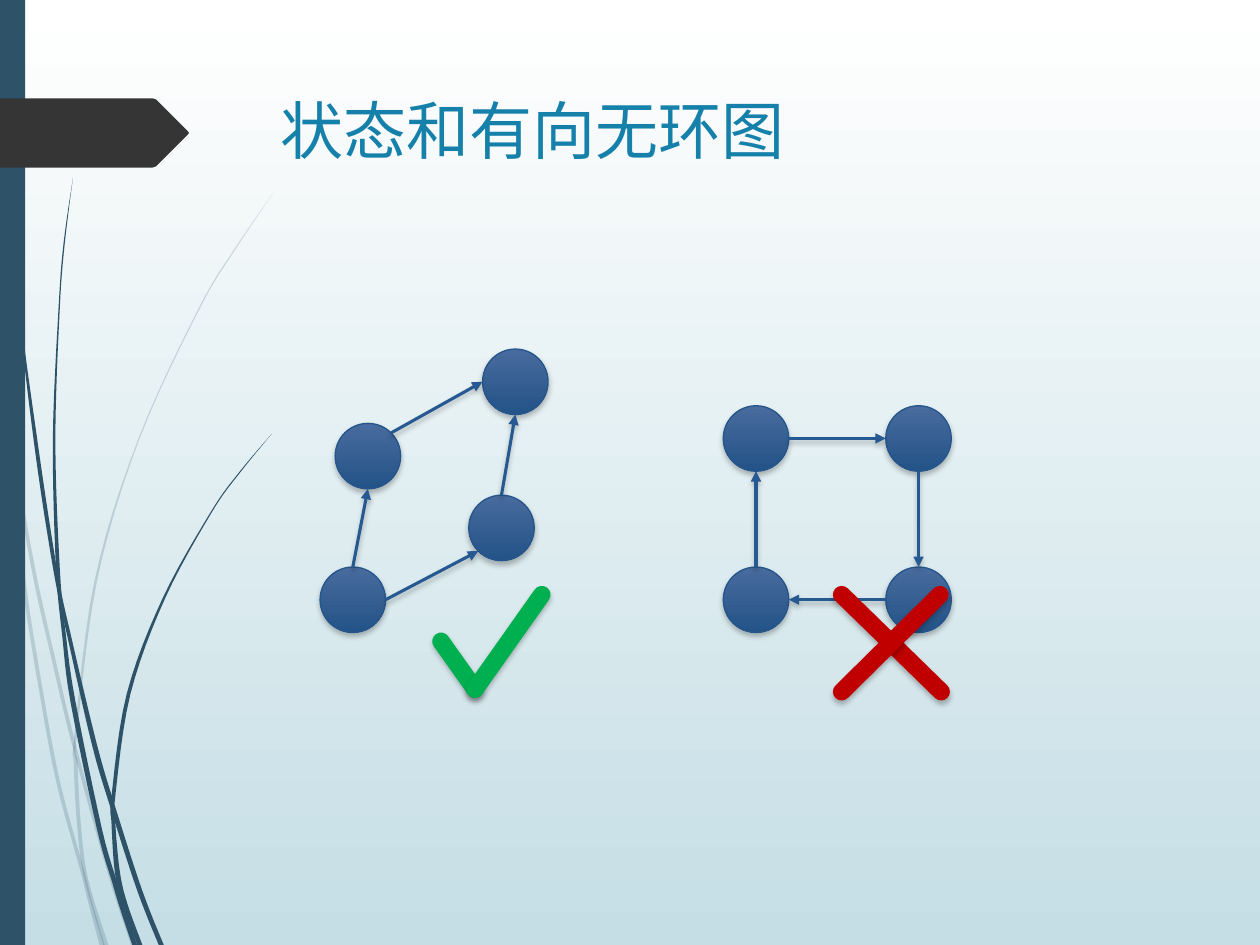
from math import cos, radians, sin
from lxml.etree import SubElement
from pptx import Presentation
from pptx.dml.color import RGBColor
from pptx.enum.shapes import MSO_CONNECTOR, MSO_SHAPE
from pptx.enum.text import MSO_ANCHOR
from pptx.oxml.ns import qn
from pptx.util import Inches, Pt

WHITE = RGBColor(0xFF, 0xFF, 0xFF)
PALE = RGBColor(0xC5, 0xDE, 0xE5)
SLATE = RGBColor(0x2E, 0x53, 0x69)
CHARCOAL = RGBColor(0x35, 0x35, 0x35)
TITLE = RGBColor(0x15, 0x81, 0xAA)
NODE_TOP = RGBColor(0x49, 0x6B, 0x9E)
NODE_BOTTOM = RGBColor(0x23, 0x53, 0x87)
NODE_LINE = RGBColor(0x24, 0x55, 0x8B)
EDGE = RGBColor(0x26, 0x59, 0x91)
GREEN = RGBColor(0x00, 0xB0, 0x50)
RED = RGBColor(0xC0, 0x00, 0x00)

NODE = 0.52
# Each strand is a list of (centre x, y, width) from tip to root.
PALE_STRANDS = [
    [(0, 2.9, 0.01), (0.09, 3.5, 0.02), (0.26, 4.49, 0.03), (0.42, 5.21, 0.03),
     (0.59, 5.92, 0.03), (0.87, 6.93, 0.03), (1.06, 7.5, 0.04)],
    [(0.08, 3.5, 0), (0.14, 4.1, 0.03), (0.2, 4.7, 0.03), (0.32, 5.45, 0.03),
     (0.46, 6.2, 0.03), (0.65, 6.9, 0.03), (0.71, 7.14, 0.03), (0.81, 7.5, 0.04)],
    [(2.17, 1.53, 0), (1.87, 1.97, 0.01), (1.58, 2.45, 0.01), (1.1, 3.49, 0.01),
     (0.76, 4.61, 0.02), (0.6, 5.84, 0.02), (0.6, 6.05, 0.03), (0.62, 6.46, 0.03),
     (0.66, 6.85, 0.03), (0.72, 7.11, 0.03), (0.84, 7.5, 0.04)],
]
DARK_STRANDS = [
    [(0.02, 0, 0.01), (0.04, 0.48, 0.01), (0.05, 1.1, 0.01), (0.14, 2.33, 0.01),
     (0.29, 3.55, 0.03), (0.44, 4.53, 0.03), (0.55, 5.05, 0.03), (0.75, 5.91, 0.04),
     (0.9, 6.42, 0.04), (1.11, 7.07, 0.04), (1.28, 7.5, 0.04)],
    [(0.58, 1.41, 0), (0.51, 1.93, 0.01), (0.47, 2.45, 0.01), (0.43, 3.49, 0.02),
     (0.46, 4.51, 0.03), (0.51, 5.05, 0.03), (0.58, 5.57, 0.04), (0.79, 6.58, 0.04),
     (0.91, 7, 0.04), (0.97, 7.2, 0.04), (1.07, 7.5, 0.04)],
    [(2.16, 3.44, 0), (1.91, 3.74, 0.01), (1.68, 4.06, 0.01), (1.3, 4.75, 0.02),
     (1.02, 5.51, 0.03), (0.9, 6.32, 0.03), (0.9, 6.53, 0.03), (0.93, 6.91, 0.04),
     (0.99, 7.17, 0.04), (1.11, 7.5, 0.04)],
]


def spline(knots, steps=6):
    """Return points on a smooth curve through the knots."""
    ends = [knots[0], *knots, knots[-1]]
    points = []
    for a, b, c, d in zip(ends, ends[1:], ends[2:], ends[3:]):
        for t in (i / steps for i in range(steps)):
            points.append([
                q + t * (r - p + t * (2 * p - 5 * q + 4 * r - s
                                      + t * (3 * q - p - 3 * r + s))) / 2
                for p, q, r, s in zip(a, b, c, d)])
    return points + [knots[-1]]


def site(corner, angle):
    """Return the point on a node's rim, clockwise in degrees from the right."""
    return [v + NODE / 2 * (1 + f(radians(angle)))
            for v, f in zip(corner, (cos, sin))]


class Canvas:
    """The current slide and its style."""

    font = {"name": "League Spartan", "size": Pt(36)}

    def __init__(self, slide):
        self.slide = slide
        self.shapes = slide.shapes

    def gradient(self, fill, top, bottom):
        """Fill with a gradient running downward."""
        fill.gradient()
        fill.gradient_angle = 270
        for stop, color in zip(fill.gradient_stops, (top, bottom)):
            stop.color.rgb = color

    def shadow(self, sp):
        """Add a soft shadow below an element."""
        effects = SubElement(sp._element.spPr, qn("a:effectLst"))
        outer = SubElement(effects, qn("a:outerShdw"), blurRad=str(Pt(3)),
                           dist=str(Pt(2)), dir="5400000", rotWithShape="0")
        color = SubElement(outer, qn("a:srgbClr"), val="000000")
        SubElement(color, qn("a:alpha"), val="25000")

    def plain(self, sp, color, alpha=None):
        """Give a shape a flat fill and no outline."""
        sp.fill.solid()
        sp.fill.fore_color.rgb = color
        sp.line.fill.background()
        sp.shadow.inherit = False
        if alpha:
            clr = sp._element.spPr.find(qn("a:solidFill"))[0]
            SubElement(clr, qn("a:alpha"), val=str(alpha * 1000))

    def bar(self, x, y, w, h, color):
        """Draw a plain rectangle."""
        self.plain(self.shapes.add_shape(
            MSO_SHAPE.RECTANGLE, *map(Inches, (x, y, w, h))), color)

    def polygon(self, points, color, alpha=None):
        """Draw a closed outline."""
        points = [(Inches(x), Inches(y)) for x, y in points]
        builder = self.shapes.build_freeform(*points[0])
        builder.add_line_segments(points[1:], close=True)
        self.plain(builder.convert_to_shape(), color, alpha)

    def strand(self, knots, color, alpha=None):
        """Draw a tapered blade of grass."""
        curve = spline(knots)
        left = [(x - w / 2, y) for x, y, w in curve]
        right = [(x + w / 2, y) for x, y, w in curve]
        self.polygon(left + right[::-1], color, alpha)

    def title(self, text, x, y, w, h):
        """Write the slide title."""
        tf = self.shapes.add_textbox(*map(Inches, (x, y, w, h))).text_frame
        tf.word_wrap = True
        tf.vertical_anchor = MSO_ANCHOR.TOP
        r = tf.paragraphs[0].add_run()
        r.text = text
        for key, value in self.font.items():
            setattr(r.font, key, value)
        r.font.color.rgb = TITLE

    def node(self, x, y):
        """Draw a graph node."""
        sp = self.shapes.add_shape(
            MSO_SHAPE.OVAL, *map(Inches, (x, y, NODE, NODE)))
        self.gradient(sp.fill, NODE_TOP, NODE_BOTTOM)
        sp.line.color.rgb = NODE_LINE
        sp.line.width = Pt(0.75)
        self.shadow(sp)

    def line(self, start, end, color, width, arrow=False):
        """Draw an arrow, or a stroke with round ends."""
        sp = self.shapes.add_connector(
            MSO_CONNECTOR.STRAIGHT, *map(Inches, (*start, *end)))
        sp.line.color.rgb = color
        sp.line.width = Pt(width)
        ln = sp._element.spPr.find(qn("a:ln"))
        if arrow:
            SubElement(ln, qn("a:tailEnd"), type="triangle")
        else:
            ln.set("cap", "rnd")
        self.shadow(sp)


prs = Presentation()
prs.slide_width, prs.slide_height = Inches(10), Inches(7.5)
s = Canvas(prs.slides.add_slide(prs.slide_layouts[6]))
s.gradient(s.slide.background.fill, WHITE, PALE)

for knots in PALE_STRANDS:
    s.strand(knots, SLATE, 20)
for knots in DARK_STRANDS:
    s.strand(knots, SLATE)
s.bar(0, 0, 0.2, 7.5, SLATE)
s.polygon([(0, 0.78), (1.21, 0.78), (1.24, 0.79), (1.49, 1.04), (1.5, 1.055),
           (1.49, 1.07), (1.24, 1.32), (1.21, 1.33), (0, 1.33)], CHARCOAL)
s.title("状态和有向无环图", 2.13, 0.68, 7.21, 1.4)

acyclic = [(2.54, 4.5), (2.66, 3.36), (3.83, 2.77), (3.72, 3.93)]
cyclic = [(5.74, 4.5), (5.74, 3.22), (7.03, 3.22), (7.03, 4.5)]
for corner in acyclic + cyclic:
    s.node(*corner)

# Edges: graph, from node, rim angle, to node, rim angle.
for graph, a, a_angle, b, b_angle in [
        (acyclic, 0, 270, 1, 90), (acyclic, 1, 315, 2, 180),
        (acyclic, 3, 270, 2, 90), (acyclic, 0, 0, 3, 135),
        (cyclic, 1, 0, 2, 180), (cyclic, 2, 90, 3, 270),
        (cyclic, 3, 180, 0, 0), (cyclic, 0, 270, 1, 90)]:
    s.line(site(graph[a], a_angle), site(graph[b], b_angle), EDGE, 1.75, True)

for start, end, color in [
        ((3.5, 5.09), (3.77, 5.47), GREEN), ((3.77, 5.47), (4.3, 4.72), GREEN),
        ((6.68, 4.72), (7.47, 5.49), RED), ((7.46, 4.72), (6.68, 5.49), RED)]:
    s.line(start, end, color, 10)

prs.save("out.pptx")
